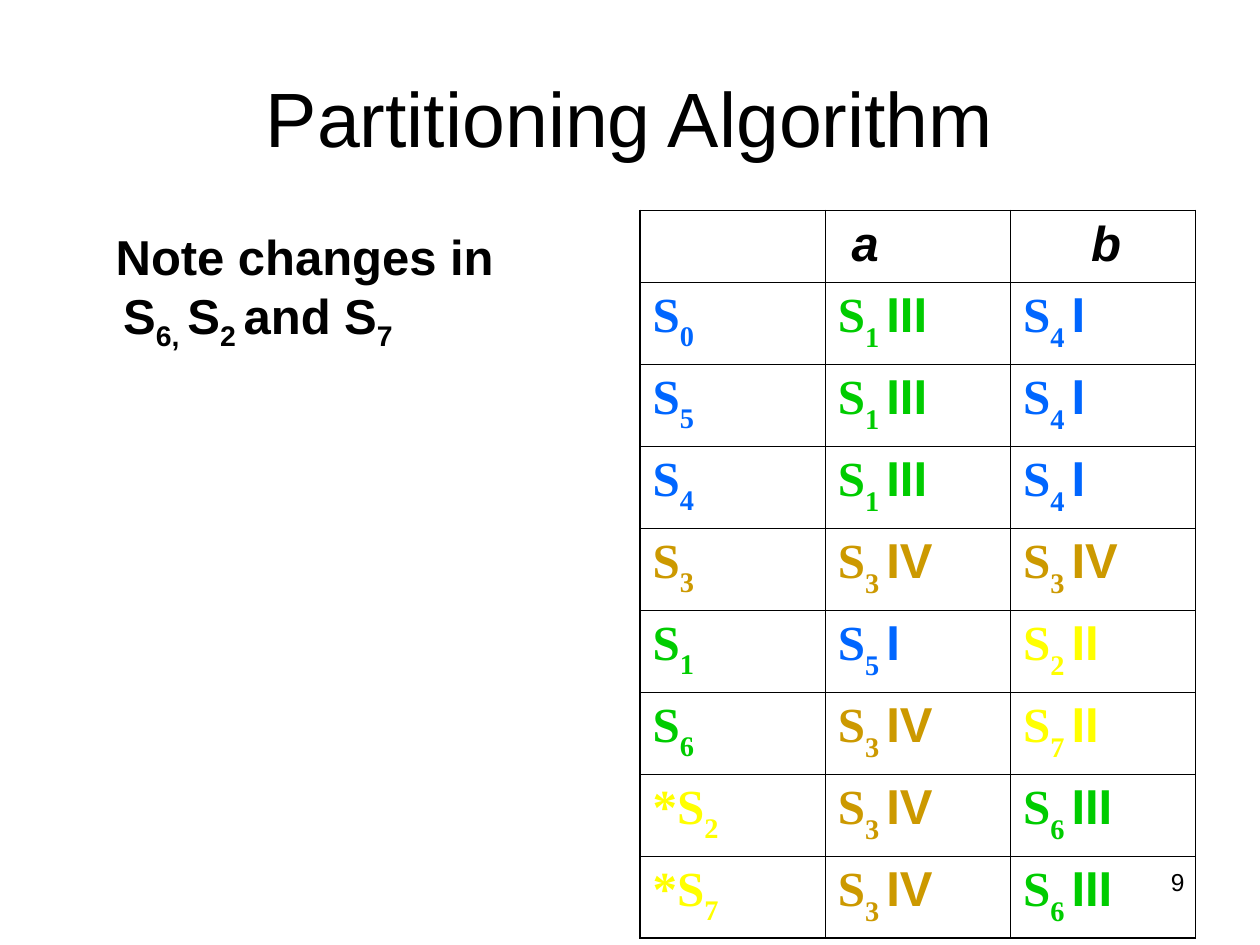
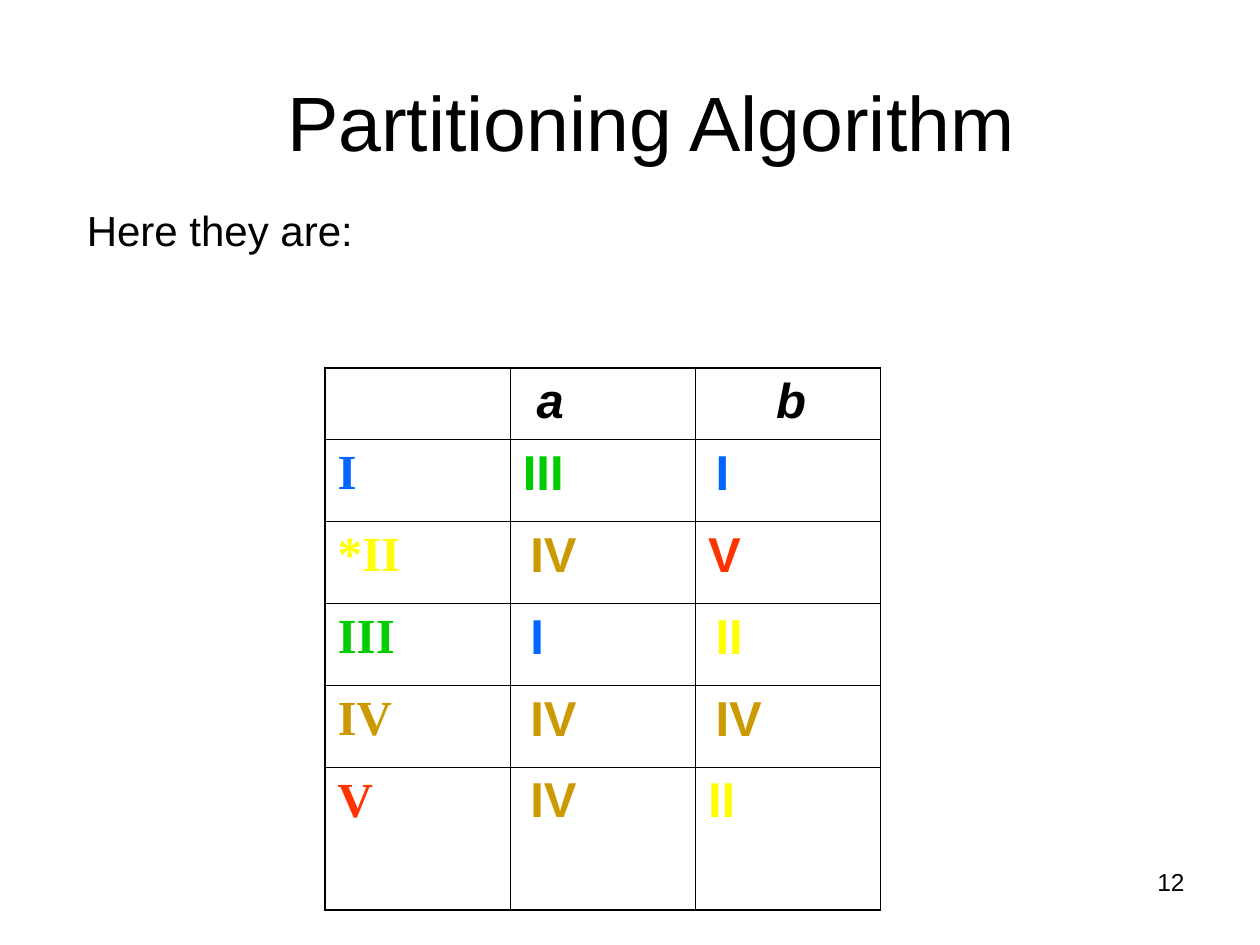
"""Build two slides on the partitioning algorithm with state transition tables."""
from dataclasses import dataclass, field

from lxml.etree import SubElement
from pptx import Presentation
from pptx.dml.color import RGBColor
from pptx.enum.text import MSO_ANCHOR, PP_ALIGN
from pptx.oxml.ns import qn
from pptx.util import Inches, Pt


@dataclass(frozen=True)
class Theme:
    text: str = "000000"
    sans: str = "Arial"
    serif: str = "Times New Roman"
    title_size: int = 44
    table_size: int = 28
    note_size: int = 24
    number_size: int = 14
    outer_line: float = 1.08
    inner_line: float = 0.45
    classes: dict = field(default_factory=lambda: {
        "I": "0066FF", "II": "FFFF00", "III": "00CC00", "IV": "CC9900", "V": "FF3300"})


STATE_CLASS = {"0": "I", "5": "I", "4": "I", "3": "IV", "1": "III", "6": "III", "2": "II", "7": "II"}
TRANSITIONS = [("0", "1", "4"), ("5", "1", "4"), ("4", "1", "4"), ("3", "3", "3"),
               ("1", "5", "2"), ("6", "3", "7"), ("2", "3", "6"), ("7", "3", "6")]
CLASS_TRANSITIONS = [("I", "III", "I"), ("II", "IV", "V"), ("III", "I", "II"),
                     ("IV", "IV", "IV"), ("V", "IV", "II")]
ACCEPTING = {"II"}
FLUSH_CELLS = {("I", "a"), ("II", "b"), ("V", "b")}
HEADERS = {"a": 0.11, "b": 0.54}
COLUMN_WIDTH, HEADER_HEIGHT, ROW_HEIGHT, LAST_ROW_HEIGHT = 1.47, 0.57, 0.65, 1.13
CLASS_INDENT = 0.06


class Deck:
    def __init__(self, theme):
        self.theme = theme
        self.presentation = Presentation()
        self.presentation.slide_width, self.presentation.slide_height = Inches(10), Inches(7.5)
        self.slide = None

    def add_slide(self, title, left, top, number):
        self.slide = self.presentation.slides.add_slide(self.presentation.slide_layouts[5])
        shape = self.slide.shapes.title
        shape.left, shape.top, shape.width, shape.height = map(Inches, (left, top, 9, 1.25))
        shape.text_frame.vertical_anchor = MSO_ANCHOR.MIDDLE
        paragraph = shape.text_frame.paragraphs[0]
        self.fill_paragraph(paragraph, [(title,)], self.theme.title_size)
        paragraph.alignment = PP_ALIGN.CENTER
        paragraph = self.add_text(7.17, 6.83, 2.33, 0.52, [(number,)], self.theme.number_size)
        paragraph.alignment = PP_ALIGN.RIGHT

    def fill_paragraph(self, paragraph, runs, size, color=None, bold=False, italic=False,
                       name=None, margin=0, indent=0):
        if margin:
            properties = paragraph._p.get_or_add_pPr()
            properties.set("marL", str(Inches(margin)))
            properties.set("indent", str(Inches(indent)))
        font = paragraph.font
        font.name, font.size = name or self.theme.sans, Pt(size)
        font.bold, font.italic = bold, italic
        font.color.rgb = RGBColor.from_string(color or self.theme.text)
        for text, *options in runs:
            run = paragraph.add_run()
            run.text = text
            for option in options:
                if isinstance(option, str):
                    run.font.name = option
                else:
                    run._r.get_or_add_rPr().set("baseline", str(option * 1000))

    def add_text(self, left, top, width, height, runs, size, anchor=MSO_ANCHOR.TOP, **style):
        shape = self.slide.shapes.add_textbox(*map(Inches, (left, top, width, height)))
        frame = shape.text_frame
        frame.word_wrap, frame.vertical_anchor = True, anchor
        self.fill_paragraph(frame.paragraphs[0], runs, size, **style)
        return frame.paragraphs[0]

    def add_border(self, cell, side, width):
        line = SubElement(cell._tc.get_or_add_tcPr(), qn(f"a:ln{side}"), w=str(Pt(width)))
        fill = SubElement(line, qn("a:solidFill"))
        SubElement(fill, qn("a:srgbClr"), val=self.theme.text)

    def add_table(self, left, top, rows, heights):
        columns = len(HEADERS) + 1
        last_row, last_column = len(heights) - 1, columns - 1
        table = self.slide.shapes.add_table(
            len(heights), columns, Inches(left), Inches(top),
            Inches(COLUMN_WIDTH * columns), Inches(sum(heights))).table
        table.first_row = table.horz_banding = False
        for column in table.columns:
            column.width = Inches(COLUMN_WIDTH)
        for row, height in zip(table.rows, heights):
            row.height = Inches(height)
        for row in range(len(heights)):
            for column in range(columns):
                cell = table.cell(row, column)
                edges = {"L": column == 0, "R": column == last_column,
                         "T": row == 0, "B": row == last_row}
                for side, is_outer in edges.items():
                    self.add_border(cell, side,
                                    self.theme.outer_line if is_outer else self.theme.inner_line)
                cell.fill.background()
        for column, (symbol, margin) in enumerate(HEADERS.items(), 1):
            self.fill_paragraph(table.cell(0, column).text_frame.paragraphs[0], [(symbol,)],
                                self.theme.table_size, bold=True, italic=True, margin=margin)
        for row, entries in enumerate(rows, 1):
            for column, (runs, group, name, margin) in enumerate(entries):
                self.fill_paragraph(table.cell(row, column).text_frame.paragraphs[0], runs,
                                    self.theme.table_size, self.theme.classes[group], True,
                                    name=name, margin=margin)

    def star(self, group):
        return "*" if group in ACCEPTING else ""

    def state_row(self, source, *targets):
        group = STATE_CLASS[source]
        entries = [([(self.star(group) + "S",), (source, -30)], group, self.theme.serif, 0)]
        for target in targets:
            group = STATE_CLASS[target]
            runs = [("S",), (target + " ", -30), (group, self.theme.sans)]
            entries.append((runs, group, self.theme.serif, 0))
        return entries

    def class_row(self, source, *targets):
        entries = [([(self.star(source) + source,)], source, self.theme.serif, 0)]
        for symbol, target in zip(HEADERS, targets):
            margin = 0 if (source, symbol) in FLUSH_CELLS else CLASS_INDENT
            entries.append(([(target,)], target, self.theme.sans, margin))
        return entries


def main():
    theme = Theme()
    deck = Deck(theme)

    deck.add_slide("Partitioning Algorithm", 0.5, 0.3, "9")
    note = [("Note changes in S",), ("6, ", -25), ("S",), ("2 ", -25), ("and S",), ("7", -25)]
    deck.add_text(0.5, 1.75, 3.83, 4.95, note, theme.table_size,
                  bold=True, margin=0.38, indent=-0.06)
    deck.add_table(5.08, 1.67, [deck.state_row(*states) for states in TRANSITIONS],
                   [HEADER_HEIGHT] + [ROW_HEIGHT] * len(TRANSITIONS))

    deck.add_slide("Partitioning Algorithm", 0.67, 0.33, "12")
    deck.add_table(2.58, 2.92, [deck.class_row(*groups) for groups in CLASS_TRANSITIONS],
                   [HEADER_HEIGHT] + [ROW_HEIGHT] * (len(CLASS_TRANSITIONS) - 1) + [LAST_ROW_HEIGHT])
    deck.add_text(0.59, 1.17, 2.31, 0.9, [("Here they are:",)], theme.note_size, MSO_ANCHOR.BOTTOM)

    deck.presentation.save("out.pptx")


if __name__ == "__main__":
    main()
